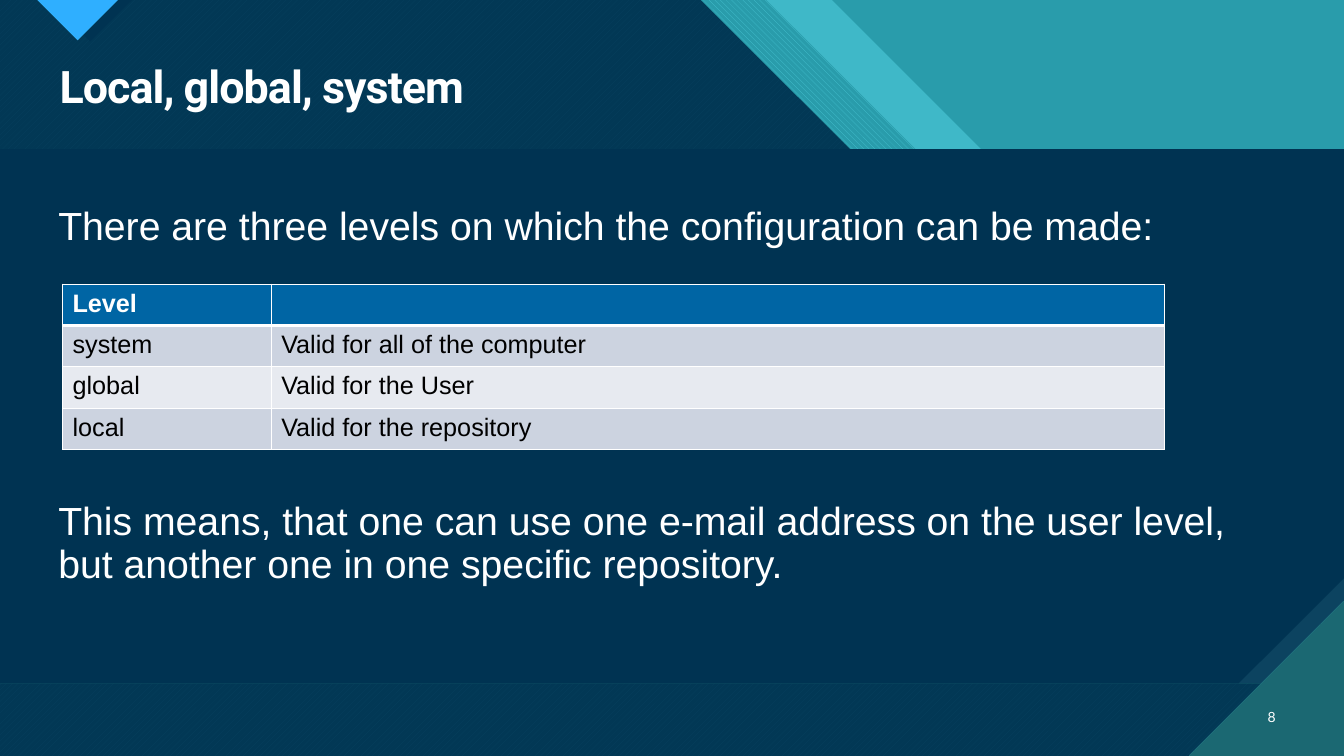
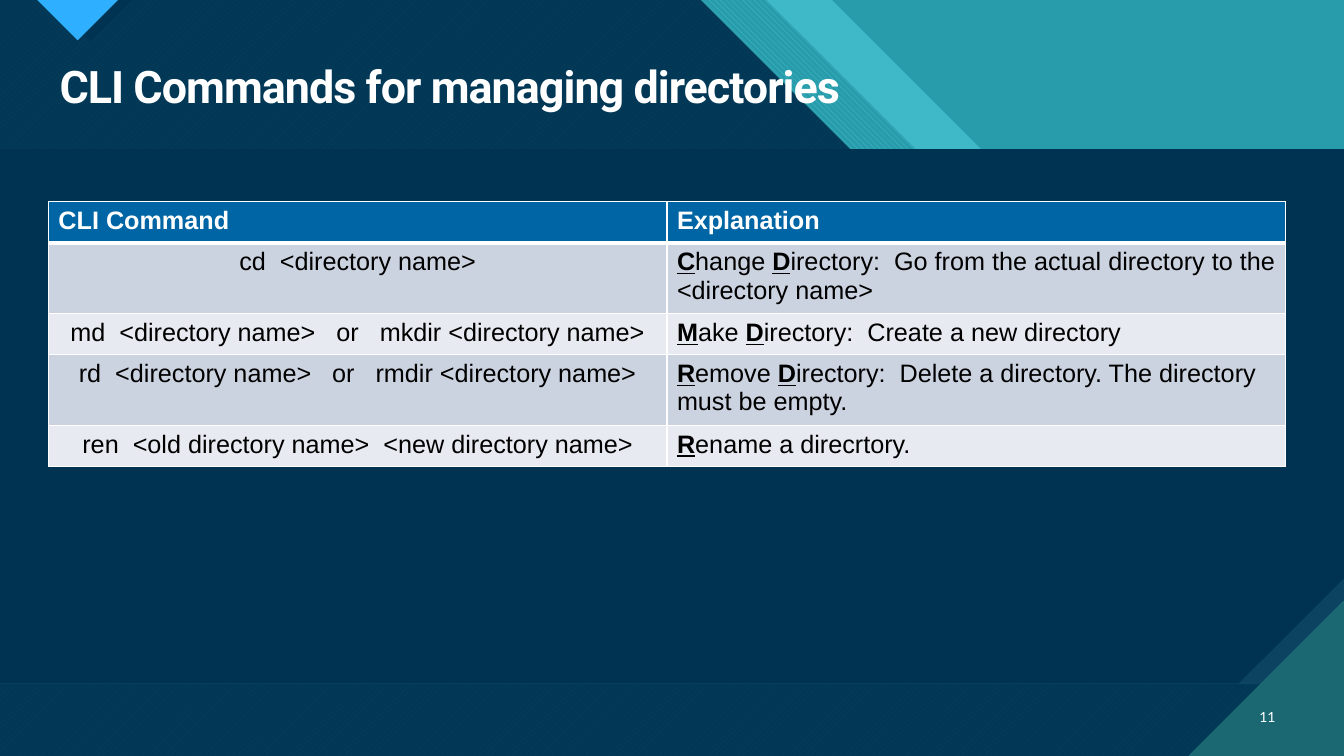
from pptx import Presentation
from pptx.dml.color import RGBColor
from pptx.enum.dml import MSO_PATTERN as PATTERN
from pptx.enum.shapes import MSO_SHAPE as SHAPE
from pptx.enum.text import MSO_ANCHOR as ANCHOR, PP_ALIGN as ALIGN
from pptx.oxml.ns import qn
from pptx.util import Inches, Pt
from lxml import etree

WHITE = RGBColor(0xFF, 0xFF, 0xFF)
BLACK = RGBColor(0, 0, 0)
NAVY = RGBColor(0x00, 0x33, 0x52)
STEEL = RGBColor(0x0C, 0x43, 0x60)
PINE = RGBColor(0x1B, 0x68, 0x72)
TEAL = RGBColor(0x29, 0x9C, 0xAB)
AQUA = RGBColor(0x47, 0xC3, 0xD3)
SKY = RGBColor(0x2F, 0xAF, 0xFF)
HEADER = RGBColor(0x00, 0x65, 0xA4)
ROW_FILLS = [RGBColor(0xE7, 0xEA, 0xF0), RGBColor(0xCC, 0xD3, 0xE0)]

WIDTH, HEIGHT = 13.33, 7.5
BODY_TOP, BODY_HEIGHT = 1.48, 5.3
ROW_HEIGHT = 0.41

# Text between asterisks is bold and underlined
SLIDES = [
    {"title": "Local, global, system",
     "number": "8",
     "texts": [(2.0, "There are three levels on which the configuration can be made:"),
               (4.93, "This means, that one can use one e-mail address on the user level, "
                      "but another one in one specific repository.")],
     "at": (0.62, 2.82),
     "cols": [2.07, 8.86],
     "first_align": ALIGN.LEFT,
     "rows": [("Level", ""),
              ("system", "Valid for all of the computer"),
              ("global", "Valid for the User"),
              ("local", "Valid for the repository")]},
    {"title": "CLI Commands for managing directories",
     "number": "11",
     "texts": [],
     "at": (0.48, 2.0),
     "cols": [6.135, 6.135],
     "first_align": ALIGN.CENTER,
     "rows": [("CLI Command", "Explanation"),
              ("cd  <directory name>",
               "*C*hange *D*irectory:  Go from the actual directory to the <directory name>"),
              ("md  <directory name>   or   mkdir <directory name>",
               "*M*ake *D*irectory:  Create a new directory"),
              ("rd  <directory name>   or   rmdir <directory name>",
               "*R*emove *D*irectory:  Delete a directory. The directory must be empty."),
              ("ren  <old directory name>  <new directory name>",
               "*R*ename a direcrtory.")]},
]


def paint(sp, color, pattern=None, back=None, opacity=None):
    """Fill a shape with a colour or a pattern, without line and shadow."""
    sp.shadow.inherit = False
    sp.line.fill.background()
    if pattern:
        sp.fill.patterned()
        sp.fill.pattern = pattern
        sp.fill.back_color.rgb = back
    else:
        sp.fill.solid()
    sp.fill.fore_color.rgb = color
    if opacity:
        clr = sp.element.spPr.find(".//" + qn("a:srgbClr"))
        etree.SubElement(clr, qn("a:alpha")).set("val", str(opacity * 1000))


def style_run(r, size, font, color, bold=False):
    r.font.size = Pt(size)
    r.font.name = font
    r.font.color.rgb = color
    r.font.bold = bold


prs = Presentation()
prs.slide_width, prs.slide_height = Inches(WIDTH), Inches(HEIGHT)
layout = prs.slide_layouts[5]
slides = [prs.slides.add_slide(layout) for _ in SLIDES]

# Layout: background and title place
layout.background.fill.solid()
layout.background.fill.fore_color.rgb = TEAL
for ph in list(layout.placeholders):
    if ph.placeholder_format.idx == 0:
        ph.left, ph.top = Inches(0.49), Inches(0.59)
        ph.width, ph.height = Inches(12.26), Inches(0.59)
    else:
        ph.element.getparent().remove(ph.element)

# Slanted header bands, all falling at 45 degrees
shapes = slides[0].shapes
decor = []
for x, *look in [
    (8.25, AQUA, None, None, 74),
    (7.6, AQUA, PATTERN.WIDE_DOWNWARD_DIAGONAL, TEAL),
    (6.95, AQUA, PATTERN.WIDE_UPWARD_DIAGONAL, PINE),
    (6.95, NAVY, None, None, 90),
]:
    points = [(x, 0), (x + BODY_TOP, BODY_TOP), (WIDTH, BODY_TOP), (WIDTH, HEIGHT), (0, HEIGHT)]
    builder = shapes.build_freeform(0, 0)
    builder.add_line_segments([(Inches(px), Inches(py)) for px, py in points])
    sp = builder.convert_to_shape()
    paint(sp, *look)
    decor.append(sp)

# Top tab with its shade, body panel, corner triangle
for kind, box, flip, *look in [
    (SHAPE.FLOWCHART_MERGE, (0.48, 0, 0.83, 0.41), None, NAVY),
    (SHAPE.FLOWCHART_MERGE, (0.37, 0, 0.8, 0.4), None, SKY, PATTERN.DARK_HORIZONTAL, PINE),
    (SHAPE.RECTANGLE, (0, BODY_TOP, WIDTH, BODY_HEIGHT), None,
     STEEL, PATTERN.DARK_VERTICAL, PINE),
    (SHAPE.SNIP_1_RECTANGLE, (0, BODY_TOP, WIDTH, BODY_HEIGHT), "flipV", NAVY),
    (SHAPE.RIGHT_TRIANGLE, (11.79, 5.96, 1.54, 1.54), "flipH",
     PINE, PATTERN.DARK_HORIZONTAL, AQUA),
]:
    sp = shapes.add_shape(kind, *[Inches(v) for v in box])
    if kind == SHAPE.SNIP_1_RECTANGLE:
        sp.adjustments[0] = 0.197
    if flip:
        sp.element.spPr.find(qn("a:xfrm")).set(flip, "1")
    paint(sp, *look)
    decor.append(sp)

# Shared shapes belong to the layout, behind its title
for i, sp in enumerate(decor):
    layout.shapes.element.insert(2 + i, sp.element)

for s, data in zip(slides, SLIDES):
    # Title
    tf = s.shapes.title.text_frame
    tf.text = data["title"]
    tf.vertical_anchor = ANCHOR.MIDDLE
    p = tf.paragraphs[0]
    p.alignment, p.line_spacing = ALIGN.LEFT, 0.9
    style_run(p.runs[0], 32, "Roboto", WHITE, True)
    p.runs[0]._r.get_or_add_rPr().set("spc", "-70")

    # Page number and body text
    texts = [((12.31, 6.91, 0.44, 0.4), data["number"], 10, "Lato", ALIGN.RIGHT, ANCHOR.MIDDLE)]
    texts += [((0.48, top, 12.27, 0.95), text, 28, "Arial", ALIGN.LEFT, ANCHOR.TOP)
              for top, text in data["texts"]]
    for box, text, size, font, align, anchor in texts:
        tf = s.shapes.add_textbox(*[Inches(v) for v in box]).text_frame
        tf.word_wrap = True
        tf.vertical_anchor = anchor
        tf.text = text
        p = tf.paragraphs[0]
        p.alignment = align
        if anchor == ANCHOR.TOP:
            p.line_spacing = 0.9
        style_run(p.runs[0], size, font, WHITE)

    # Table
    rows, cols = data["rows"], data["cols"]
    left, top = data["at"]
    table = s.shapes.add_table(len(rows), len(cols), Inches(left), Inches(top),
                               Inches(sum(cols)), Inches(ROW_HEIGHT * len(rows))).table
    for column, width in zip(table.columns, cols):
        column.width = Inches(width)
    for i, row in enumerate(rows):
        table.rows[i].height = Inches(ROW_HEIGHT)
        for j, text in enumerate(row):
            cell = table.cell(i, j)

            # White borders, thick below the header
            tcPr = cell._tc.get_or_add_tcPr()
            for side in "LRTB":
                thick = (i, side) in [(0, "B"), (1, "T")]
                ln = etree.SubElement(tcPr, qn("a:ln" + side), w=str(Pt(3 if thick else 1)))
                fill = etree.SubElement(ln, qn("a:solidFill"))
                etree.SubElement(fill, qn("a:srgbClr"), val=str(WHITE))
            cell.fill.solid()
            cell.fill.fore_color.rgb = ROW_FILLS[i % 2] if i else HEADER

            p = cell.text_frame.paragraphs[0]
            p.alignment = data["first_align"] if i and j == 0 else ALIGN.LEFT
            for k, part in enumerate(text.split("*")):
                if part:
                    r = p.add_run()
                    r.text = part
                    marked = k % 2 == 1
                    style_run(r, 18, "Arial", BLACK if i else WHITE, marked or i == 0)
                    r.font.underline = marked

prs.save("out.pptx")
